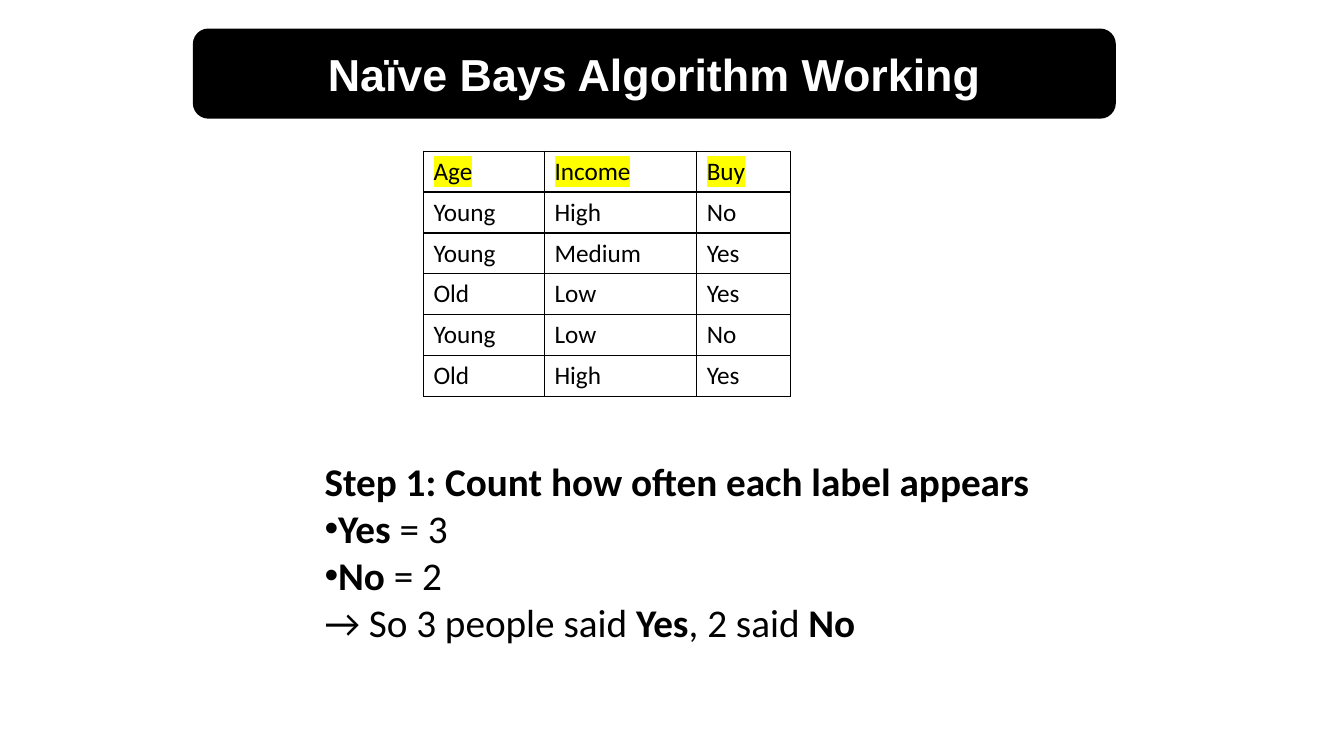
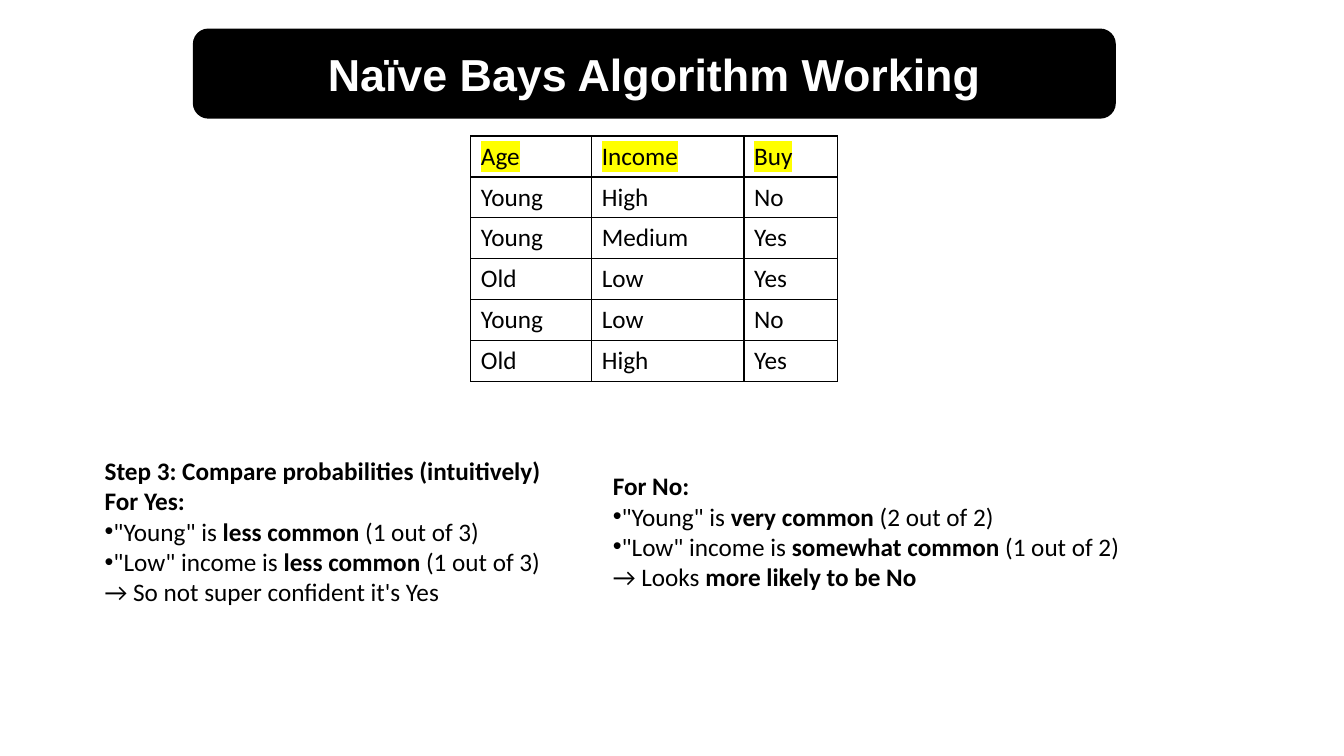
"""Build two slides that work through a Naïve Bayes example."""
from dataclasses import dataclass

from lxml.etree import SubElement
from pptx import Presentation
from pptx.dml.color import RGBColor
from pptx.enum.shapes import MSO_SHAPE
from pptx.enum.text import MSO_ANCHOR, MSO_AUTO_SIZE, PP_ALIGN
from pptx.oxml import parse_xml
from pptx.oxml.ns import nsdecls, qn
from pptx.slide import Slide
from pptx.util import Inches, Pt

COLORS = {"ink": "000000", "paper": "FFFFFF", "marker": "FFFF00"}
TITLE = "Naïve Bays Algorithm Working"
TITLE_FONT, BODY_FONT = "Arial", "Calibri"
BAND = (Inches(1.92), Inches(0.29), Inches(9.14), Inches(0.88))
COLUMN_WIDTHS = (1.2, 1.51, 0.93)
ROW_HEIGHT = 0.4
PURCHASES = (
    ("Age", "Income", "Buy"),
    ("Young", "High", "No"),
    ("Young", "Medium", "Yes"),
    ("Old", "Low", "Yes"),
    ("Young", "Low", "No"),
    ("Old", "High", "Yes"),
)


@dataclass(frozen=True)
class Explanation:
    left: float
    top: float
    width: float
    height: float
    size: int
    lines: tuple[str, ...]


@dataclass(frozen=True)
class Step:
    table_left: float
    table_top: float
    explanations: tuple[Explanation, ...]


STEPS = (
    Step(4.2, 1.5, (
        Explanation(3.12, 4.49, 9.88, 1.99, 28, (
            "**Step 1: Count how often each label appears**",
            "•**Yes** = 3",
            "•**No** = 2",
            "→ So 3 people said **Yes**, 2 said **No**",
        )),
    )),
    Step(4.67, 1.35, (
        Explanation(0.94, 4.47, 6.84, 1.62, 18, (
            "**Step 3: Compare probabilities (intuitively)**",
            "**For Yes:**",
            '•"Young" is **less common** (1 out of 3)',
            '•"Low" income is **less common** (1 out of 3)',
            "→ So not super confident it's Yes",
        )),
        Explanation(5.98, 4.62, 6.84, 1.31, 18, (
            "**For No:**",
            '•"Young" is **very common** (2 out of 2)',
            '•"Low" income is **somewhat common** (1 out of 2)',
            "→ Looks **more likely to be No**",
        )),
    )),
)


def rgb(name: str) -> RGBColor:
    return RGBColor.from_string(COLORS[name])


def style_font(font, face: str, size: int, color: str, bold: bool = False) -> None:
    font.name, font.size, font.bold = face, Pt(size), bold
    font.color.rgb = rgb(color)


def add_title(slide: Slide) -> None:
    band = slide.shapes.add_shape(MSO_SHAPE.ROUNDED_RECTANGLE, *BAND)
    band.shadow.inherit = False
    band.fill.solid()
    band.fill.fore_color.rgb = rgb("ink")
    band.line.color.rgb = rgb("ink")
    band.line.width = Pt(1)

    title = slide.shapes.title
    title.left, title.top, title.width, title.height = BAND
    frame = title.text_frame
    frame.text = TITLE
    frame.vertical_anchor = MSO_ANCHOR.MIDDLE
    frame.auto_size = MSO_AUTO_SIZE.NONE
    heading = frame.paragraphs[0]
    heading.alignment = PP_ALIGN.CENTER
    style_font(heading.runs[0].font, TITLE_FONT, 32, "paper", bold=True)
    band._element.addnext(title._element)


def add_borders(cell) -> None:
    properties = cell._tc.get_or_add_tcPr()
    for index, side in enumerate("LRTB"):
        properties.insert(index, parse_xml(
            f'<a:ln{side} {nsdecls("a")} w="12700"><a:solidFill>'
            f'<a:srgbClr val="{COLORS["ink"]}"/></a:solidFill></a:ln{side}>'
        ))


def highlight(run) -> None:
    marker = parse_xml(
        f'<a:highlight {nsdecls("a")}><a:srgbClr val="{COLORS["marker"]}"/></a:highlight>'
    )
    run.font._element.find(qn("a:solidFill")).addnext(marker)


def add_purchases(slide: Slide, left: float, top: float) -> None:
    table = slide.shapes.add_table(
        len(PURCHASES), len(COLUMN_WIDTHS), Inches(left), Inches(top),
        Inches(sum(COLUMN_WIDTHS)), Inches(ROW_HEIGHT * len(PURCHASES)),
    ).table
    table.first_row = table.horz_banding = False
    for column, width in zip(table.columns, COLUMN_WIDTHS):
        column.width = Inches(width)
    for row_index, values in enumerate(PURCHASES):
        for column_index, value in enumerate(values):
            cell = table.cell(row_index, column_index)
            cell.text_frame.text = value
            cell.vertical_anchor = MSO_ANCHOR.MIDDLE
            cell.fill.background()
            add_borders(cell)
            run = cell.text_frame.paragraphs[0].runs[0]
            style_font(run.font, BODY_FONT, 18, "ink")
            if row_index == 0:
                highlight(run)


def fill_line(paragraph, line: str, size: int) -> None:
    if line.startswith("•"):
        properties = paragraph._p.get_or_add_pPr()
        SubElement(properties, qn("a:buFont"), typeface="Arial")
        SubElement(properties, qn("a:buChar"), char="•")
    for index, part in enumerate(line.removeprefix("•").split("**")):
        if part:
            run = paragraph.add_run()
            run.text = part
            style_font(run.font, BODY_FONT, size, "ink", bold=index % 2 == 1)


def add_explanation(slide: Slide, item: Explanation) -> None:
    frame = slide.shapes.add_textbox(
        Inches(item.left), Inches(item.top), Inches(item.width), Inches(item.height)
    ).text_frame
    frame.word_wrap = True
    frame.auto_size = MSO_AUTO_SIZE.SHAPE_TO_FIT_TEXT
    for index, line in enumerate(item.lines):
        paragraph = frame.add_paragraph() if index else frame.paragraphs[0]
        fill_line(paragraph, line, item.size)


def main() -> None:
    presentation = Presentation()
    presentation.slide_width = Inches(13.33)
    presentation.slide_height = Inches(7.5)
    title_only = presentation.slide_layouts.get_by_name("Title Only")
    for step in STEPS:
        slide = presentation.slides.add_slide(title_only)
        add_title(slide)
        add_purchases(slide, step.table_left, step.table_top)
        for item in step.explanations:
            add_explanation(slide, item)
    presentation.save("out.pptx")


if __name__ == "__main__":
    main()
